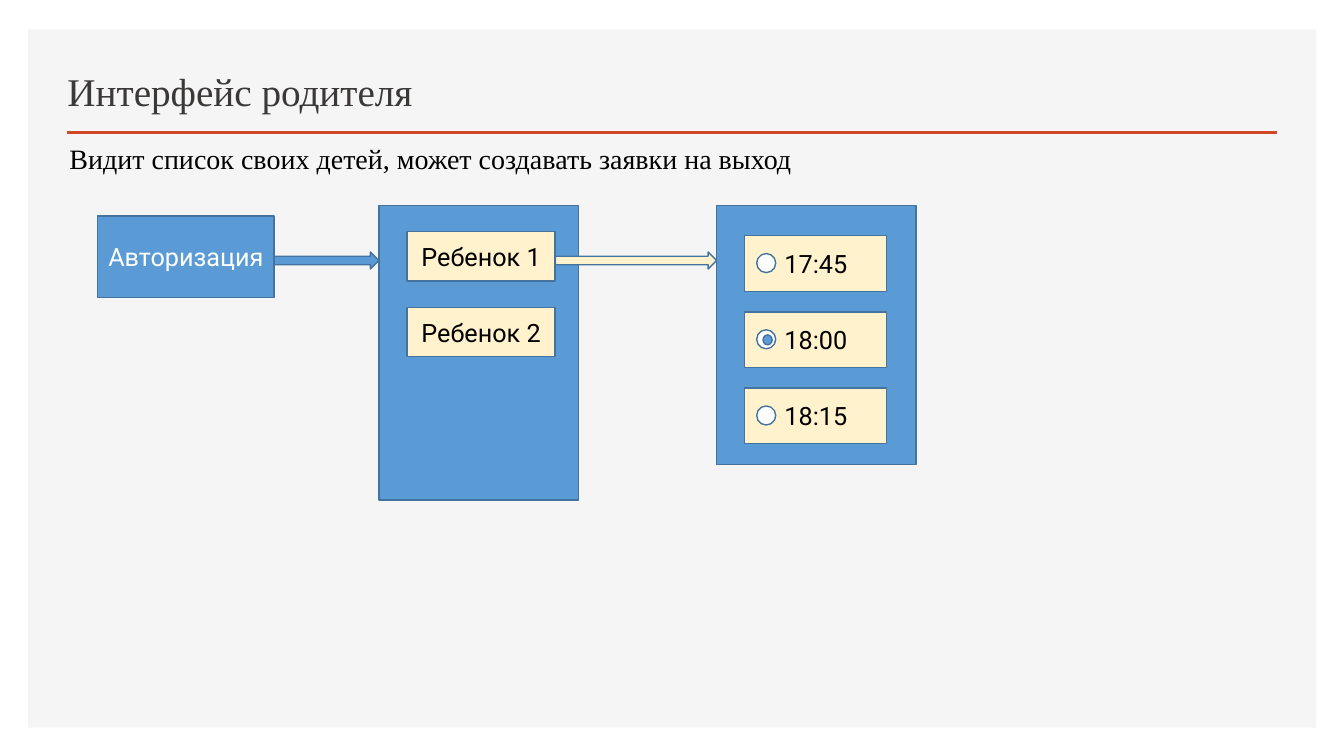
from dataclasses import dataclass
from lxml.etree import SubElement
from pptx import Presentation
from pptx.dml.color import RGBColor
from pptx.enum.shapes import MSO_CONNECTOR, MSO_SHAPE
from pptx.enum.text import MSO_ANCHOR, PP_ALIGN
from pptx.oxml.ns import qn
from pptx.util import Cm, Pt


@dataclass(frozen=True)
class Theme:
    panel: str = "F5F5F5"
    accent: str = "D24726"
    title: str = "3B3838"
    black: str = "000000"
    white: str = "FFFFFF"
    blue: str = "5B9BD5"
    cream: str = "FFF2CC"
    outline: str = "43739E"
    heading_font: str = "Times New Roman"
    label_font: str = "Roboto"
    title_size: int = 28
    subtitle_size: int = 20
    label_size: int = 18


THEME = Theme()


def write(frame, text, font, size, color, align, anchor):
    frame.word_wrap = True
    frame.vertical_anchor = anchor
    para = frame.paragraphs[0]
    para.alignment = align
    span = para.add_run()
    span.text = text
    for name, value in {"name": font, "size": Pt(size)}.items():
        setattr(span.font, name, value)
    span.font.color.rgb = RGBColor.from_string(color)


def add_text(page, box, text, size, color, anchor):
    shape = page.shapes.add_textbox(*map(Cm, box))
    write(shape.text_frame, text, THEME.heading_font, size, color,
          PP_ALIGN.LEFT, anchor)


def add_block(page, kind, box, fill, outline=THEME.outline):
    shape = page.shapes.add_shape(kind, *map(Cm, box))
    shape.shadow.inherit = False
    shape.fill.solid()
    shape.fill.fore_color.rgb = RGBColor.from_string(fill)
    if outline:
        shape.line.color.rgb = RGBColor.from_string(outline)
        shape.line.width = Pt(1)
    else:
        shape.line.fill.background()
    return shape


def add_card(page, box, text, fill=THEME.cream, color=THEME.black):
    card = add_block(page, MSO_SHAPE.RECTANGLE, box, fill)
    write(card.text_frame, text, THEME.label_font, THEME.label_size, color,
          PP_ALIGN.CENTER, MSO_ANCHOR.MIDDLE)


def add_header(page, box):
    left, top, width, height = box
    # Background panel
    add_block(page, MSO_SHAPE.RECTANGLE, box, THEME.panel, outline=None)
    # Rule under the title
    rule_y = Cm(top + 2.59)
    rule = page.shapes.add_connector(MSO_CONNECTOR.STRAIGHT, Cm(left + 0.97), rule_y,
                                     Cm(left + width - 0.99), rule_y)
    rule.line.color.rgb = RGBColor.from_string(THEME.accent)
    rule.line.width = Pt(2)
    SubElement(rule._element.spPr, qn("a:effectLst"))
    # Title and subtitle
    add_text(page, (left + 0.74, top + 0.5, 19.1, 1.78), "Интерфейс родителя",
             THEME.title_size, THEME.title, MSO_ANCHOR.BOTTOM)
    add_text(page, (left + 0.79, top + 2.79, 24.31, 0.94),
             "Видит список своих детей, может создавать заявки на выход",
             THEME.subtitle_size, THEME.black, MSO_ANCHOR.MIDDLE)


def add_children(page, box, names):
    left, top = box[:2]
    add_block(page, MSO_SHAPE.RECTANGLE, box, THEME.blue)
    for row, name in enumerate(names):
        add_card(page, (left + 0.71, top + 0.66 + row * 1.91, 3.73, 1.24), name)


def add_times(page, box, times, chosen):
    left, top = box[:2]
    add_block(page, MSO_SHAPE.RECTANGLE, box, THEME.blue)
    for row, time in enumerate(times):
        x, y = left + 0.71, top + 0.76 + row * 1.92
        add_card(page, (x, y, 3.58, 1.4), time)
        # Radio button, with a dot when chosen
        add_block(page, MSO_SHAPE.OVAL, (x + 0.3, y + 0.45, 0.48, 0.48), THEME.white)
        if time == chosen:
            add_block(page, MSO_SHAPE.OVAL, (x + 0.46, y + 0.58, 0.23, 0.25), THEME.blue)


def add_flow(page, box):
    left, top = box[:2]
    arrow_y = top + 1.17
    # Sign-in step
    add_card(page, (left, top + 0.26, 4.45, 2.06), "Авторизация",
             THEME.blue, THEME.white)
    add_block(page, MSO_SHAPE.RIGHT_ARROW, (left + 4.45, arrow_y, 2.64, 0.43), THEME.blue)
    # List of children
    add_children(page, (left + 7.09, top, 5.03, 7.42), ["Ребенок 1", "Ребенок 2"])
    add_block(page, MSO_SHAPE.RIGHT_ARROW, (left + 11.54, arrow_y, 4.06, 0.43), THEME.cream)
    # Choice of the leaving time
    add_times(page, (left + 15.6, top, 5.03, 6.53), ["17:45", "18:00", "18:15"], "18:00")


deck = Presentation()
deck.slide_width, deck.slide_height = Cm(33.87), Cm(19.05)
page = deck.slides.add_slide(deck.slide_layouts[6])
add_header(page, (0.71, 0.74, 32.46, 17.6))
add_flow(page, (2.46, 5.18, 20.63, 7.42))
deck.save("out.pptx")
